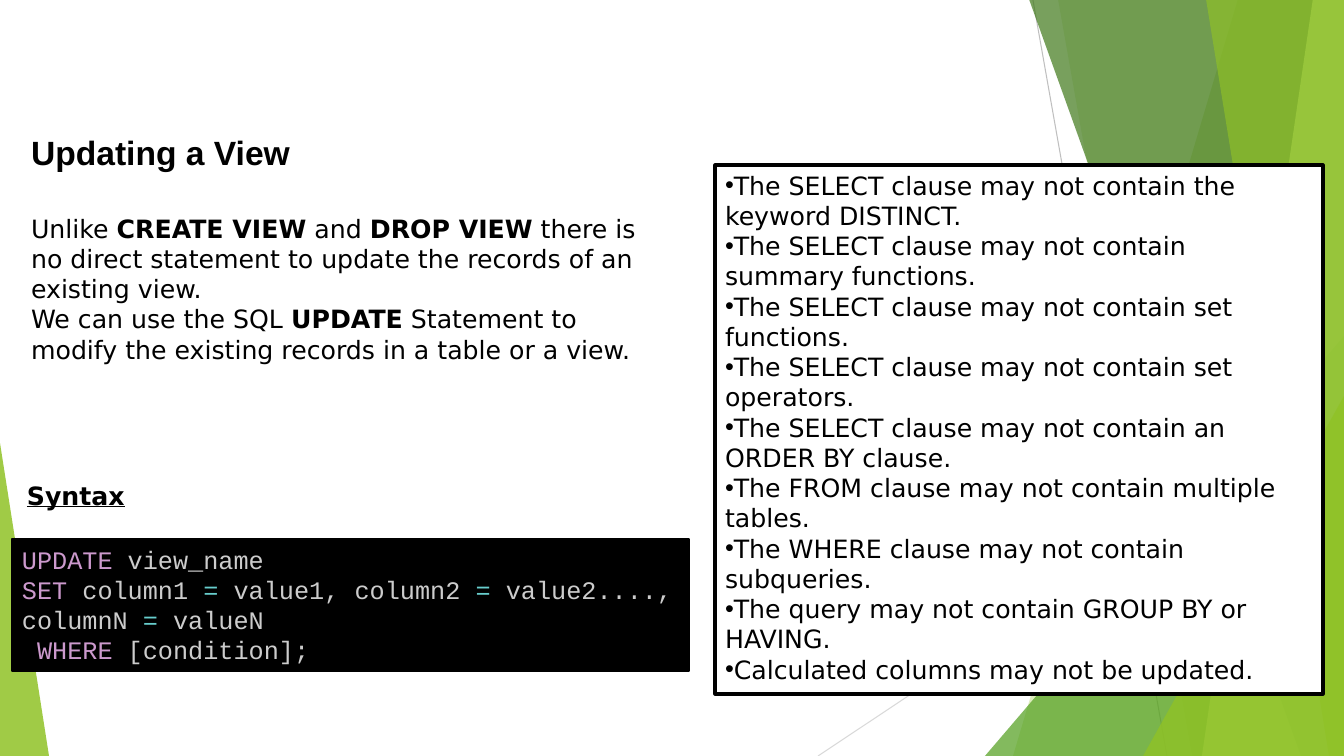
from dataclasses import dataclass

from lxml.etree import SubElement
from pptx import Presentation
from pptx.dml.color import RGBColor
from pptx.enum.shapes import MSO_CONNECTOR, MSO_SHAPE
from pptx.enum.text import MSO_ANCHOR, MSO_AUTO_SIZE, PP_ALIGN
from pptx.oxml.ns import qn
from pptx.util import Pt

SCALE = 914400 / 100.8
WIDTH, HEIGHT = 1344, 756


@dataclass(frozen=True)
class Theme:
    black: str = "000000"
    white: str = "FFFFFF"
    lime: str = "90C226"
    green: str = "54A021"
    forest: str = "3F7819"
    pale: str = "C0E474"
    line_dark: str = "BFBFBF"
    line_light: str = "D9D9D9"
    code: str = "CCCCCC"
    keyword: str = "CC99CD"
    operator: str = "67CDCC"
    heading_font: str = "Arial"
    body_font: str = "DejaVu Sans"
    code_font: str = "Courier New"
    heading_size: int = 24
    body_size: int = 18
    line_height: float = 21.6


THEME = Theme()

RULES = [
    "The SELECT clause may not contain the keyword DISTINCT.",
    "The SELECT clause may not contain summary functions.",
    "The SELECT clause may not contain set functions.",
    "The SELECT clause may not contain set operators.",
    "The SELECT clause may not contain an ORDER BY clause.",
    "The FROM clause may not contain multiple tables.",
    "The WHERE clause may not contain subqueries.",
    "The query may not contain GROUP BY or HAVING.",
    "Calculated columns may not be updated.",
]

INTRODUCTION = [
    [("Unlike\u00a0", {}), ("CREATE VIEW", {"bold": True}), ("\u00a0and\u00a0", {}),
     ("DROP VIEW", {"bold": True}),
     ("\u00a0there is no direct statement to update the records of an existing view. ", {})],
    [("We can use the SQL\u00a0", {}), ("UPDATE", {"bold": True}),
     ("\u00a0Statement to modify the existing records in a table or a view.", {})],
]

KEYWORD = {"color": THEME.keyword}
OPERATOR = {"color": THEME.operator}
STATEMENT = [
    [("UPDATE ", KEYWORD), ("view_name ", {})],
    [("SET", KEYWORD), (" column1 ", {}), ("=", OPERATOR), (" value1, column2 ", {}),
     ("=", OPERATOR), (" value2...., columnN ", {}), ("= ", OPERATOR), ("valueN", {})],
    [(" ", {}), ("WHERE", KEYWORD), (" [condition];", {})],
]


def px(value):
    return round(value * SCALE)


def rgb(color):
    return RGBColor.from_string(color)


def place(shape, box):
    shape.left, shape.top, shape.width, shape.height = map(px, box)


def paint(shape, color, opacity=100, border=None, border_width=0):
    shape.fill.solid()
    shape.fill.fore_color.rgb = rgb(color)
    if opacity < 100:
        color_element = shape.element.spPr.find(f"{qn('a:solidFill')}/{qn('a:srgbClr')}")
        SubElement(color_element, qn("a:alpha"), val=str(opacity * 1000))
    if border:
        shape.line.color.rgb = rgb(border)
        shape.line.width = Pt(border_width)
    else:
        shape.line.fill.background()


def add_text(paragraph, text, font=THEME.body_font, size=THEME.body_size,
             color=THEME.black, bold=False, underline=False):
    run = paragraph.add_run()
    run.text = text
    run.font.name = font
    run.font.size = Pt(size)
    run.font.color.rgb = rgb(color)
    run.font.bold = bold
    run.font.underline = underline


def set_bullet(paragraph, character):
    properties = paragraph._p.get_or_add_pPr()
    properties.set("marL", "0")
    properties.set("indent", "0")
    if character:
        SubElement(properties, qn("a:buChar"), char=character)
    else:
        SubElement(properties, qn("a:buNone"))


def fill_frame(shape, paragraphs, bullet=None, line_height=THEME.line_height, **defaults):
    frame = shape.text_frame
    frame.word_wrap = True
    frame.auto_size = MSO_AUTO_SIZE.NONE
    frame.vertical_anchor = MSO_ANCHOR.TOP
    for index, runs in enumerate(paragraphs):
        paragraph = frame.add_paragraph() if index else frame.paragraphs[0]
        paragraph.alignment = PP_ALIGN.LEFT
        paragraph.space_before = paragraph.space_after = Pt(0)
        if line_height:
            paragraph.line_spacing = Pt(line_height)
        set_bullet(paragraph, bullet)
        for text, formatting in runs:
            add_text(paragraph, text, **{**defaults, **formatting})


def add_ray(shapes, start, end, color):
    ray = shapes.add_connector(MSO_CONNECTOR.STRAIGHT, *map(px, start + end))
    ray.line.color.rgb = rgb(color)
    ray.line.width = Pt(0.75)
    SubElement(ray.element.spPr, qn("a:effectLst"))


def add_band(shapes, box, top_x, bottom_x, color, opacity):
    left, top, width, height = box
    right, bottom = left + width, top + height
    builder = shapes.build_freeform(left + top_x, top - 1, scale=SCALE)
    builder.add_line_segments([(right, top - 1), (right, bottom), (left + bottom_x, bottom)])
    band = builder.convert_to_shape()
    band.shadow.inherit = False
    paint(band, color, opacity)


def add_corner(shapes, box, width, height, color, opacity, apex):
    left, top, box_width, box_height = box
    corner_left = left + apex * (box_width - width)
    corner_box = corner_left, top + box_height - height, width, height
    corner = shapes.add_shape(MSO_SHAPE.ISOSCELES_TRIANGLE, *map(px, corner_box))
    corner.adjustments[0] = apex
    corner.shadow.inherit = False
    paint(corner, color, opacity)


def add_backdrop(slide, box):
    left, top, width, height = box
    group = slide.shapes.add_group_shape()
    shapes = group.shapes
    add_ray(shapes, (left + 1033, top), (left + 1167, top + height), THEME.line_dark)
    add_ray(shapes, (left + width, top + 406), (left + 818, top + height), THEME.line_light)
    add_band(shapes, box, 1238, 1013, THEME.lime, 30)
    add_band(shapes, box, 1058, 1192, THEME.lime, 20)
    add_corner(shapes, box, 359, 420, THEME.green, 72, 1)
    add_band(shapes, box, 1029, 1301, THEME.forest, 70)
    add_band(shapes, box, 1313, 1202, THEME.pale, 70)
    add_band(shapes, box, 1206, 1329, THEME.lime, 65)
    add_corner(shapes, box, 201, 360, THEME.lime, 80, 1)
    add_corner(shapes, box, 49, 313, THEME.lime, 85, 0)
    group.element.getparent().insert(2, group.element)


def add_introduction(title, body, box):
    left, top, width, height = box
    title_height = 81
    place(title, (left, top, width, 48))
    fill_frame(title, [[("Updating a View", {})]], line_height=None,
               font=THEME.heading_font, size=THEME.heading_size, bold=True)
    place(body, (left, top + title_height, width, height - title_height))
    fill_frame(body, INTRODUCTION)


def add_rules(body, box):
    place(body, box)
    paint(body, THEME.white, border=THEME.black, border_width=2.25)
    fill_frame(body, [[(rule, {})] for rule in RULES], bullet="\u2022")


def add_syntax(slide, box):
    left, top, width, height = box
    label_offset, code_offset = 5, 64
    label = slide.shapes.add_textbox(*map(px, (left + label_offset, top, width, 40)))
    fill_frame(label, [[("Syntax", {})]], bold=True, underline=True)
    code_box = left, top + code_offset, width, height - code_offset
    code = slide.shapes.add_shape(MSO_SHAPE.RECTANGLE, *map(px, code_box))
    code.shadow.inherit = False
    paint(code, THEME.black, border=THEME.black, border_width=1.5)
    fill_frame(code, STATEMENT, font=THEME.code_font, color=THEME.code)


def build_view_slide(presentation):
    slide = presentation.slides.add_slide(presentation.slide_layouts[3])
    title, introduction, rules = list(slide.placeholders)[:3]
    add_backdrop(slide, (0, 0, WIDTH, HEIGHT))
    add_introduction(title, introduction, (21, 127, 650, 244))
    add_rules(rules, (715, 165, 608, 529))
    add_syntax(slide, (12, 475, 677, 196))


presentation = Presentation()
presentation.slide_width, presentation.slide_height = px(WIDTH), px(HEIGHT)
build_view_slide(presentation)
presentation.save("out.pptx")
